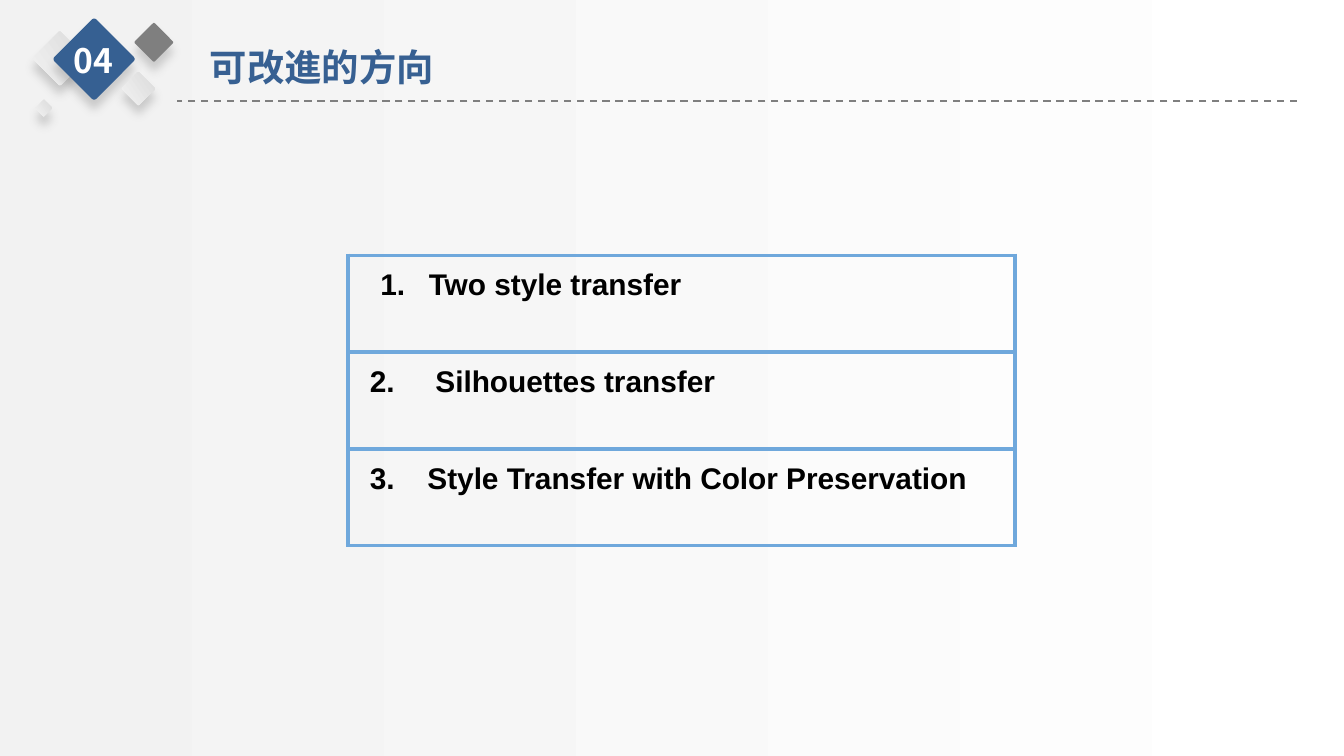
from lxml import etree
from pptx import Presentation
from pptx.dml.color import RGBColor
from pptx.enum.dml import MSO_LINE
from pptx.enum.shapes import MSO_CONNECTOR, MSO_SHAPE
from pptx.enum.text import MSO_ANCHOR, PP_ALIGN
from pptx.oxml import parse_xml
from pptx.oxml.ns import nsdecls, qn
from pptx.util import Inches, Pt

ROUNDED = MSO_SHAPE.ROUNDED_RECTANGLE
STRAIGHT = MSO_CONNECTOR.STRAIGHT
DASH = MSO_LINE.DASH
TOP = MSO_ANCHOR.TOP
LEFT, CENTER = PP_ALIGN.LEFT, PP_ALIGN.CENTER

TITLE_BLUE = RGBColor(0x37, 0x60, 0x92)
DIAMOND_BLUE = RGBColor(0x36, 0x60, 0x92)
GRAY = RGBColor(0x7F, 0x7F, 0x7F)
PALE = RGBColor(0xF2, 0xF2, 0xF2)
SILVER = RGBColor(0xDB, 0xDB, 0xDB)
WHITE = RGBColor(0xFF, 0xFF, 0xFF)
BLACK = RGBColor(0, 0, 0)
SHADOW = RGBColor(0x59, 0x59, 0x59)
BORDER = RGBColor(0x6F, 0xA8, 0xDC)
CJK_FONT = "Noto Sans CJK SC"

TITLE = "可改進的方向"
NUMBER = "04"
# text, where it starts in the cell; the first item is numbered automatically
ITEMS = [
    ("Two style transfer", 0.5),
    (" 2.\tSilhouettes transfer", 0.55),
    (" 3.\tStyle Transfer with Color Preservation", 0.49),
]
# left, top, side, colour (None for the silver gradient)
DIAMONDS = [
    (0.3, 0.29, 0.29, None),
    (0.48, 0.22, 0.44, DIAMOND_BLUE),
    (1.04, 0.21, 0.21, GRAY),
    (0.94, 0.57, 0.18, None),
    (0.28, 0.76, 0.09, None),
]
SLIDE_WIDTH = 10
TABLE_LEFT, TABLE_TOP, TABLE_WIDTH, ROW_HEIGHT = 2.59, 1.9, 4.96, 0.72


def write(p, text, size=16, font="Arial", color=BLACK, align=LEFT):
    p.alignment = align
    r = p.add_run()
    r.text = text
    r.font.size = Pt(size)
    r.font.bold = True
    r.font.name = font
    r.font.color.rgb = color
    latin = r.font._element.find(qn("a:latin"))
    latin.addnext(parse_xml(f'<a:ea {nsdecls("a")} typeface="{font}"/>'))


def fill_gradient(fill, start, end, angle):
    fill.gradient()
    fill.gradient_angle = angle
    for stop, color in zip(fill.gradient_stops, (start, end)):
        stop.color.rgb = color


def add_shadow(sp):
    sp._element.spPr.append(parse_xml(
        f'<a:effectLst {nsdecls("a")}><a:outerShdw blurRad="{Pt(5)}" dist="{Pt(5)}" '
        f'dir="5400000" algn="t" rotWithShape="0"><a:srgbClr val="{SHADOW}">'
        '<a:alpha val="25000"/></a:srgbClr></a:outerShdw></a:effectLst>'))


def add_diamond(slide, left, top, side, color):
    sp = slide.shapes.add_shape(
        ROUNDED, Inches(left), Inches(top), Inches(side), Inches(side))
    sp.rotation = 45
    sp.adjustments[0] = 0.05
    if color is None:
        fill_gradient(sp.fill, PALE, SILVER, 80)
    else:
        sp.fill.solid()
        sp.fill.fore_color.rgb = color
    sp.line.fill.background()
    add_shadow(sp)


def auto_number(p, margin):
    pPr = p._p.get_or_add_pPr()
    pPr.set("marL", str(Inches(margin)))
    pPr.set("indent", str(Inches(-0.36)))
    color = etree.SubElement(pPr, qn("a:buClr"))
    etree.SubElement(color, qn("a:srgbClr"), val=str(BLACK))
    etree.SubElement(pPr, qn("a:buFont"), typeface="Arial")
    etree.SubElement(pPr, qn("a:buAutoNum"), type="arabicPeriod")


def add_tab(p, position):
    tabs = etree.SubElement(p._p.get_or_add_pPr(), qn("a:tabLst"))
    etree.SubElement(tabs, qn("a:tab"), pos=str(Inches(position)), algn="l")


def add_borders(cell):
    tcPr = cell._tc.get_or_add_tcPr()
    for i, side in enumerate(("lnL", "lnR", "lnT", "lnB")):
        tcPr.insert(i, parse_xml(
            f'<a:{side} {nsdecls("a")} w="{Pt(2.25)}"><a:solidFill>'
            f'<a:srgbClr val="{BORDER}"/></a:solidFill></a:{side}>'))


prs = Presentation()
prs.slide_width, prs.slide_height = Inches(SLIDE_WIDTH), Inches(SLIDE_WIDTH * 9 / 16)
slide = prs.slides.add_slide(prs.slide_layouts[5])
fill_gradient(slide.background.fill, PALE, WHITE, 0)

title = slide.shapes.title
title.left, title.top = Inches(1.46), Inches(0.28)
title.width, title.height = Inches(2.74), Inches(0.44)
title.text_frame.vertical_anchor = TOP
write(title.text_frame.paragraphs[0], TITLE, size=20, font=CJK_FONT, color=TITLE_BLUE)

rule = slide.shapes.add_connector(
    STRAIGHT, Inches(9.65), Inches(0.75), Inches(1.32), Inches(0.75))
rule.line.color.rgb = GRAY
rule.line.width = Pt(1)
rule.line.dash_style = DASH
etree.SubElement(rule._element.spPr, qn("a:effectLst"))

for diamond in DIAMONDS:
    add_diamond(slide, *diamond)

box = slide.shapes.add_textbox(Inches(0.44), Inches(0.25), Inches(0.51), Inches(0.4))
box.text_frame.word_wrap = True
write(box.text_frame.paragraphs[0], NUMBER, size=18, font=CJK_FONT, color=WHITE, align=CENTER)

table = slide.shapes.add_table(
    len(ITEMS), 1, Inches(TABLE_LEFT), Inches(TABLE_TOP),
    Inches(TABLE_WIDTH), Inches(ROW_HEIGHT * len(ITEMS))).table
table.first_row = table.horz_banding = False
for i, (text, text_start) in enumerate(ITEMS):
    cell = table.cell(i, 0)
    cell.margin_left = cell.margin_right = Inches(0.1)
    cell.margin_top = cell.margin_bottom = Inches(0.1)
    cell.fill.background()
    add_borders(cell)
    p = cell.text_frame.paragraphs[0]
    if i == 0:
        auto_number(p, text_start)
    else:
        add_tab(p, text_start)
    write(p, text)

prs.save("out.pptx")
